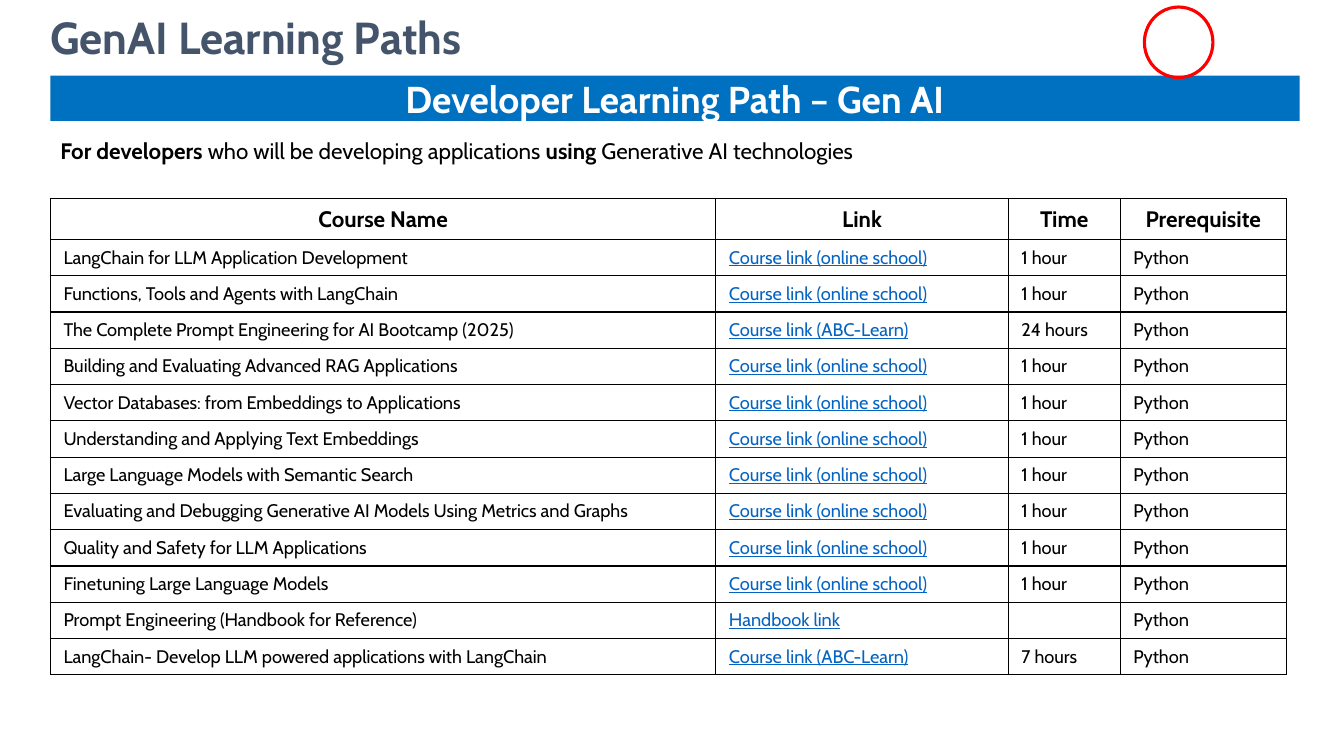
"""Build the GenAI developer learning path slide."""
from lxml import etree
from pptx import Presentation
from pptx.dml.color import RGBColor
from pptx.enum.shapes import MSO_SHAPE
from pptx.enum.text import MSO_ANCHOR, PP_ALIGN
from pptx.oxml import parse_xml
from pptx.oxml.ns import nsdecls, qn
from pptx.util import Inches, Pt

RECTANGLE, OVAL = MSO_SHAPE.RECTANGLE, MSO_SHAPE.OVAL
MIDDLE = MSO_ANCHOR.MIDDLE
LEFT, CENTER = PP_ALIGN.LEFT, PP_ALIGN.CENTER
BLACK = RGBColor(0x00, 0x00, 0x00)
WHITE = RGBColor(0xFF, 0xFF, 0xFF)
SLATE = RGBColor(0x44, 0x54, 0x6A)
BLUE = RGBColor(0x00, 0x70, 0xC0)
LINK_BLUE = RGBColor(0x05, 0x63, 0xC1)
RED = RGBColor(0xFF, 0x00, 0x00)
FONT = "Cabin"

ACADEMY = "Course link (online school)"
PARTNER = "Course link (ABC-Learn)"
HEADINGS = ("Course Name", "Link", "Time", "Prerequisite")
COURSES = [
    ("LangChain for LLM Application Development", ACADEMY, "1 hour"),
    ("Functions, Tools and Agents with LangChain", ACADEMY, "1 hour"),
    ("The Complete Prompt Engineering for AI Bootcamp (2025)", PARTNER, "24 hours"),
    ("Building and Evaluating Advanced RAG Applications", ACADEMY, "1 hour"),
    ("Vector Databases: from Embeddings to Applications", ACADEMY, "1 hour"),
    ("Understanding and Applying Text Embeddings", ACADEMY, "1 hour"),
    ("Large Language Models with Semantic Search", ACADEMY, "1 hour"),
    ("Evaluating and Debugging Generative AI Models Using Metrics and Graphs", ACADEMY, "1 hour"),
    ("Quality and Safety for LLM Applications", ACADEMY, "1 hour"),
    ("Finetuning Large Language Models", ACADEMY, "1 hour"),
    ("Prompt Engineering (Handbook for Reference)", "Handbook link", ""),
    ("LangChain- Develop LLM powered applications with LangChain", PARTNER, "7 hours"),
]
COLUMN_WIDTHS = (6.6, 2.9, 1.11, 1.65)
HEADER_HEIGHT, COURSE_HEIGHT = 0.4, 0.36


def style(paragraph, size, color, bold=False, align=LEFT):
    paragraph.alignment = align
    font = paragraph.font
    font.name, font.size, font.bold = FONT, Pt(size), bold
    font.color.rgb = color


def clear_margins(frame):
    frame.margin_left = frame.margin_right = 0
    frame.margin_top = frame.margin_bottom = 0
    frame.word_wrap = True


prs = Presentation()
prs.slide_width, prs.slide_height = Inches(13.33), Inches(7.5)
slide = prs.slides.add_slide(prs.slide_layouts[6])
shapes = slide.shapes

title = shapes.add_textbox(Inches(0.5), Inches(0.16), Inches(12.57), Inches(0.48)).text_frame
clear_margins(title)
title.text = "GenAI Learning Paths"
title.paragraphs[0].line_spacing = 0.9
style(title.paragraphs[0], 32, SLATE, bold=True)

banner = shapes.add_shape(RECTANGLE, Inches(0.5), Inches(0.75), Inches(12.39), Inches(0.45))
banner.shadow.inherit = False
banner.fill.solid()
banner.fill.fore_color.rgb = BLUE
banner.line.fill.background()
clear_margins(banner.text_frame)
banner.text_frame.vertical_anchor = MIDDLE
banner.text_frame.text = "Developer Learning Path – Gen AI"
style(banner.text_frame.paragraphs[0], 26.7, WHITE, bold=True, align=CENTER)

table = shapes.add_table(
    len(COURSES) + 1, len(HEADINGS), Inches(0.5), Inches(1.97), Inches(sum(COLUMN_WIDTHS)),
    Inches(HEADER_HEIGHT + COURSE_HEIGHT * len(COURSES))).table
table.first_row = table.horz_banding = False
for column, width in zip(table.columns, COLUMN_WIDTHS):
    column.width = Inches(width)

rows = [HEADINGS] + [course + ("Python",) for course in COURSES]
for r, values in enumerate(rows):
    is_header = r == 0
    table.rows[r].height = Inches(HEADER_HEIGHT if is_header else COURSE_HEIGHT)
    for c, value in enumerate(values):
        cell = table.cell(r, c)
        cell.margin_left = cell.margin_right = Inches(0.13)
        cell.margin_top = cell.margin_bottom = Inches(0.07)
        cell.fill.background()
        properties = cell._tc.get_or_add_tcPr()
        for i, side in enumerate(("lnL", "lnR", "lnT", "lnB")):
            properties.insert(i, parse_xml(
                f'<a:{side} {nsdecls("a")} w="{Pt(1)}"><a:solidFill>'
                f'<a:srgbClr val="{BLACK}"/></a:solidFill></a:{side}>'))
        cell.text = value
        entry = cell.text_frame.paragraphs[0]
        if is_header:
            style(entry, 16, BLACK, bold=True, align=CENTER)
        else:
            is_link = c == 1
            style(entry, 13, LINK_BLUE if is_link else BLACK)
            entry.font.underline = is_link
        if not value:
            etree.SubElement(entry._p, qn("a:endParaRPr"), sz="1300")

audience = shapes.add_textbox(Inches(0.5), Inches(1.31), Inches(12.26), Inches(0.37)).text_frame
audience.word_wrap = True
sentence = audience.paragraphs[0]
style(sentence, 16, BLACK)
for text, bold in (("For developers ", True), ("who will be developing applications ", False),
                   ("using", True), (" Generative AI technologies", False)):
    run = sentence.add_run()
    run.text = text
    run.font.bold = bold

ring = shapes.add_shape(OVAL, Inches(11.35), Inches(0.07), Inches(0.68), Inches(0.7))
ring.shadow.inherit = False
ring.fill.background()
ring.line.color.rgb = RED
ring.line.width = Pt(2.25)

prs.save("out.pptx")
